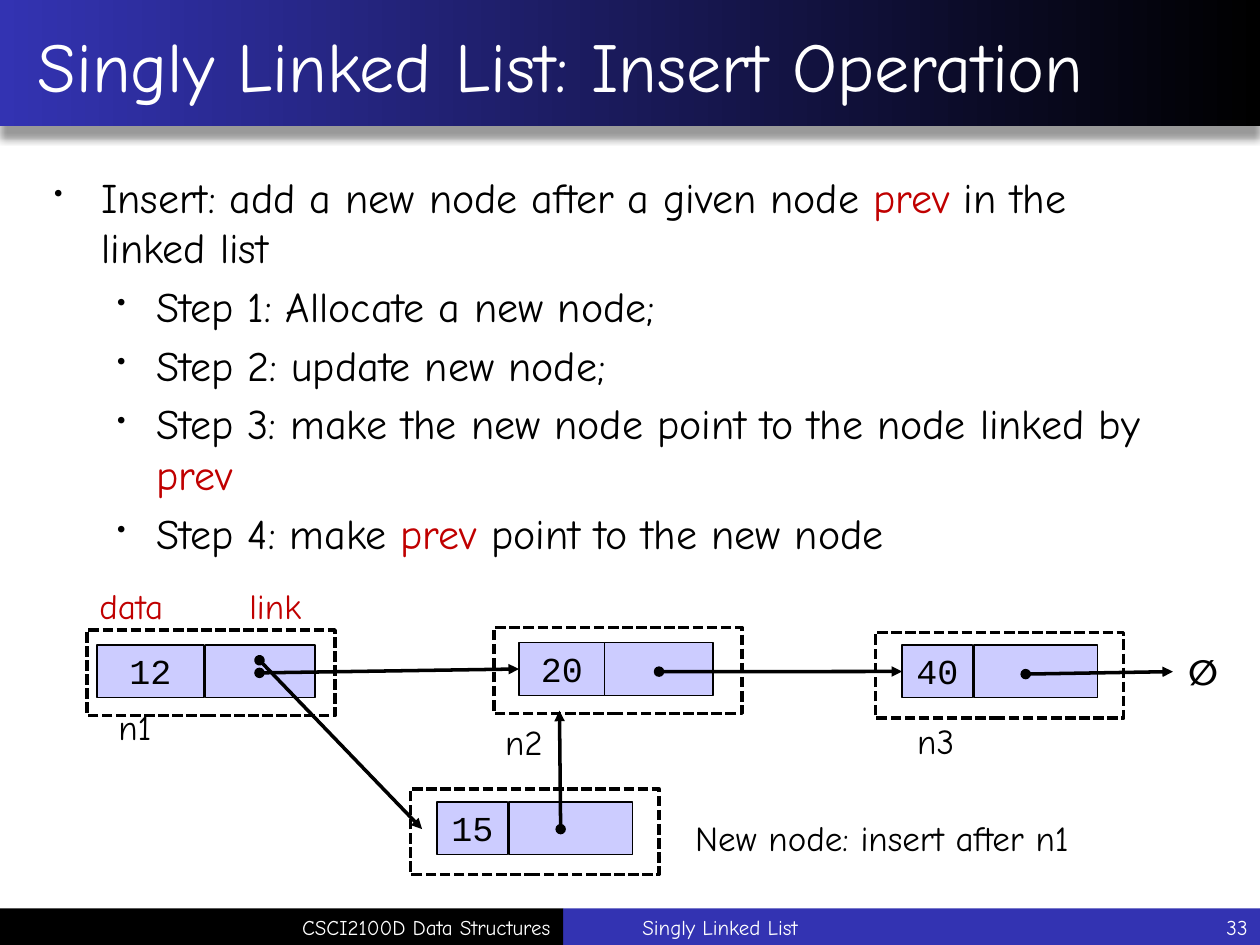
from dataclasses import dataclass
from typing import Any, Optional

from lxml import etree
from pptx import Presentation
from pptx import util as u
from pptx.dml import color as col
from pptx.enum import dml, shapes, text
from pptx.oxml import ns, parse_xml

Pt = u.Pt
HUES = {"ink": "000000", "blue": "3333B2", "cell": "CCCCFF", "red": "C00000", "white": "FFFFFF"}
SANS, MONO = "Comic Neue", "Courier New"
LEFT, MID, RIGHT = text.PP_ALIGN.LEFT, text.PP_ALIGN.CENTER, text.PP_ALIGN.RIGHT
TOP, CENTER = text.MSO_ANCHOR.TOP, text.MSO_ANCHOR.MIDDLE
CELL_H, BOX_W, BOX_H, LABEL_H = 30.2, 141.8, 49, 31.7
BAR_Y, BAR_H, SPLIT = 519.1, 20.9, 321.8


@dataclass
class Node:
    value: str
    x: float
    y: float
    cell: float
    width: float
    link: float
    span: float
    top: float


@dataclass
class Label:
    words: str
    x: float
    y: float
    width: float
    hue: str = "ink"
    font: str = SANS
    bold: bool = False
    align: Any = LEFT


@dataclass
class Arrow:
    x1: float
    y1: float
    x2: float
    y2: float
    goal: Optional[str] = None


NODES = [
    Node("12", 49.7, 360, 55.4, 61.2, 117.4, 62.6, 368.6),
    Node("20", 282.2, 358.6, 296.6, 49, 345.6, 61.9, 367.2),
    Node("40", 500.4, 361.4, 515.5, 40.3, 556.6, 70.6, 368.6),
    Node("15", 234.7, 450.7, 249.8, 40.3, 290.9, 70.6, 458.3),
]
LABELS = [
    Label("data", 49.7, 330.5, 56.9, "red"),
    Label("link", 135.4, 330.5, 47.5, "red"),
    Label("n1", 60.5, 399.6, 34.6),
    Label("n2", 281.5, 408.2, 37.4),
    Label("n3", 517, 407.5, 37.4),
    Label("New node: insert after n1", 390.2, 463, 257),
    Label("∅", 671.8, 367.9, 31, font="Cabin", bold=True, align=MID),
]
ARROWS = [
    Arrow(148.3, 384.5, 296.6, 383, "20"),
    Arrow(376.6, 383.8, 515.5, 383.8, "40"),
    Arrow(586.1, 385.2, 670.3, 383.8),
    Arrow(320.4, 473.8, 319.7, 406.1),
    Arrow(148.3, 377.3, 241.2, 473.8),
]
STEPS = [
    (0, [("Insert: add a new node after a given node ", "ink"), ("prev", "red"),
         (" in the linked list", "ink")]),
    (1, [("Step 1: Allocate a new node;", "ink")]),
    (1, [("Step 2: update new node;", "ink")]),
    (1, [("Step 3: make the new node point to the node linked by ", "ink"), ("prev", "red")]),
    (1, [("Step 4: make ", "ink"), ("prev", "red"), (" point to the new node", "ink")]),
]


def rgb(hue: str) -> col.RGBColor:
    return col.RGBColor.from_string(HUES[hue])


def put(obj: Any, vals: dict) -> None:
    for key, val in vals.items():
        setattr(obj, key, val)


def write(para: Any, words: str, size: float, hue: str, font: str = SANS, bold: bool = False) -> None:
    run = para.add_run()
    run.text = words
    put(run.font, {"size": Pt(size), "name": font, "bold": bold})
    run.font.color.rgb = rgb(hue)


def block(sld: Any, x: float, y: float, w: float, h: float, fill: Optional[str] = None,
          line: float = 0) -> Any:
    box = sld.shapes.add_shape(shapes.MSO_SHAPE.RECTANGLE, Pt(x), Pt(y), Pt(w), Pt(h))
    box.shadow.inherit = False
    if fill:
        box.fill.solid()
        box.fill.fore_color.rgb = rgb(fill)
    else:
        box.fill.background()
    if line:
        box.line.color.rgb = rgb("ink")
        box.line.width = Pt(line)
    else:
        box.line.fill.background()
    return box


def band(sld: Any) -> None:
    box = block(sld, 0, -0.7, 720, 72.7)
    box.fill.gradient()
    box.fill.gradient_angle = 180
    for stop, hue in zip(box.fill.gradient_stops, ("ink", "blue")):
        stop.color.rgb = rgb(hue)
    glow = box.element.spPr.find(ns.qn("a:effectLst"))
    glow.append(parse_xml(
        f'<a:outerShdw {ns.nsdecls("a")} blurRad="{Pt(4)}" dist="{Pt(7)}" dir="5400000" '
        f'rotWithShape="0"><a:srgbClr val="{HUES["ink"]}"><a:alpha val="40000"/></a:srgbClr>'
        '</a:outerShdw>'))


def note(sld: Any, x: float, y: float, w: float, h: float, wrap: bool = True,
         anchor: Any = TOP) -> Any:
    frame = sld.shapes.add_textbox(Pt(x), Pt(y), Pt(w), Pt(h)).text_frame
    put(frame, {"word_wrap": wrap, "vertical_anchor": anchor})
    return frame


def head(sld: Any, words: str) -> None:
    box = sld.shapes.title
    box.element.getparent().append(box.element)
    put(box, {"left": 0, "top": Pt(1.4), "width": Pt(720), "height": Pt(70.6)})
    put(box.text_frame, {"vertical_anchor": CENTER, "auto_size": text.MSO_AUTO_SIZE.NONE})
    para = box.text_frame.paragraphs[0]
    para.alignment = LEFT
    para._p.get_or_add_pPr().set("marL", str(Pt(14.4)))
    write(para, words, 40, "white")


def body(sld: Any) -> None:
    frame = note(sld, 23.8, 94.3, 660.2, 388)
    for num, (level, parts) in enumerate(STEPS):
        para = frame.add_paragraph() if num else frame.paragraphs[0]
        put(para, {"level": level, "space_before": Pt(4.8)})
        edge, hang = ((27, 27), (58.5, 22.5))[level]
        prop = para._p.get_or_add_pPr()
        prop.set("marL", str(Pt(edge)))
        prop.set("indent", str(-Pt(hang)))
        etree.SubElement(prop, ns.qn("a:buSzPct"), val="60000")
        etree.SubElement(prop, ns.qn("a:buChar"), char="•")
        for words, hue in parts:
            write(para, words, 24, hue)


def foot(sld: Any, words: str, x: float, w: float, align: Any) -> None:
    para = note(sld, x, BAR_Y, w, BAR_H, anchor=CENTER).paragraphs[0]
    para.alignment = align
    write(para, words, 12, "white")


def draw(sld: Any, node: Node) -> Any:
    block(sld, node.link, node.top, node.span, CELL_H, "cell", 0.75)
    cell = block(sld, node.cell, node.top, node.width, CELL_H, "cell", 0.75)
    sides = ("left", "top", "right", "bottom")
    put(cell.text_frame, {f"margin_{side}": Pt(7.2) for side in sides})
    cell.text_frame.vertical_anchor = TOP
    para = cell.text_frame.paragraphs[0]
    put(para, {"alignment": MID, "line_spacing": 0.8, "space_before": Pt(4)})
    write(para, node.value, 20, "ink", MONO)
    edge = block(sld, node.x, node.y, BOX_W, BOX_H, line=2)
    edge.line.dash_style = dml.MSO_LINE.SQUARE_DOT
    return cell


def tag(sld: Any, item: Label) -> None:
    frame = note(sld, item.x, item.y, item.width, LABEL_H, wrap=False)
    frame.auto_size = text.MSO_AUTO_SIZE.SHAPE_TO_FIT_TEXT
    para = frame.paragraphs[0]
    para.alignment = item.align
    write(para, item.words, 20, item.hue, item.font, item.bold)


def join(sld: Any, item: Arrow, cells: dict) -> None:
    wire = sld.shapes.add_connector(shapes.MSO_CONNECTOR.STRAIGHT, Pt(item.x1), Pt(item.y1),
                                    Pt(item.x2), Pt(item.y2))
    wire.line.color.rgb = rgb("ink")
    wire.line.width = Pt(2)
    line = wire.line._get_or_add_ln()
    for end, kind in (("a:headEnd", "oval"), ("a:tailEnd", "triangle")):
        etree.SubElement(line, ns.qn(end), type=kind)
    etree.SubElement(wire.element.spPr, ns.qn("a:effectLst"))
    if item.goal:
        wire.end_connect(cells[item.goal], 1)


def main() -> None:
    deck = Presentation()
    put(deck, {"slide_width": Pt(720), "slide_height": Pt(540)})
    sld = deck.slides.add_slide(deck.slide_layouts[5])
    band(sld)
    block(sld, SPLIT, BAR_Y, 720 - SPLIT, BAR_H, "blue")
    block(sld, 0, BAR_Y, SPLIT, BAR_H, "ink")
    head(sld, "Singly Linked List: Insert Operation")
    body(sld)
    foot(sld, "CSCI2100D Data Structures", 0.7, 321.1, RIGHT)
    foot(sld, "Singly Linked List", 360, 317.5, LEFT)
    foot(sld, "33", 630, 90, RIGHT)
    cells = {node.value: draw(sld, node) for node in NODES}
    for item in LABELS:
        tag(sld, item)
    for item in ARROWS:
        join(sld, item, cells)
    deck.save("out.pptx")


if __name__ == "__main__":
    main()
